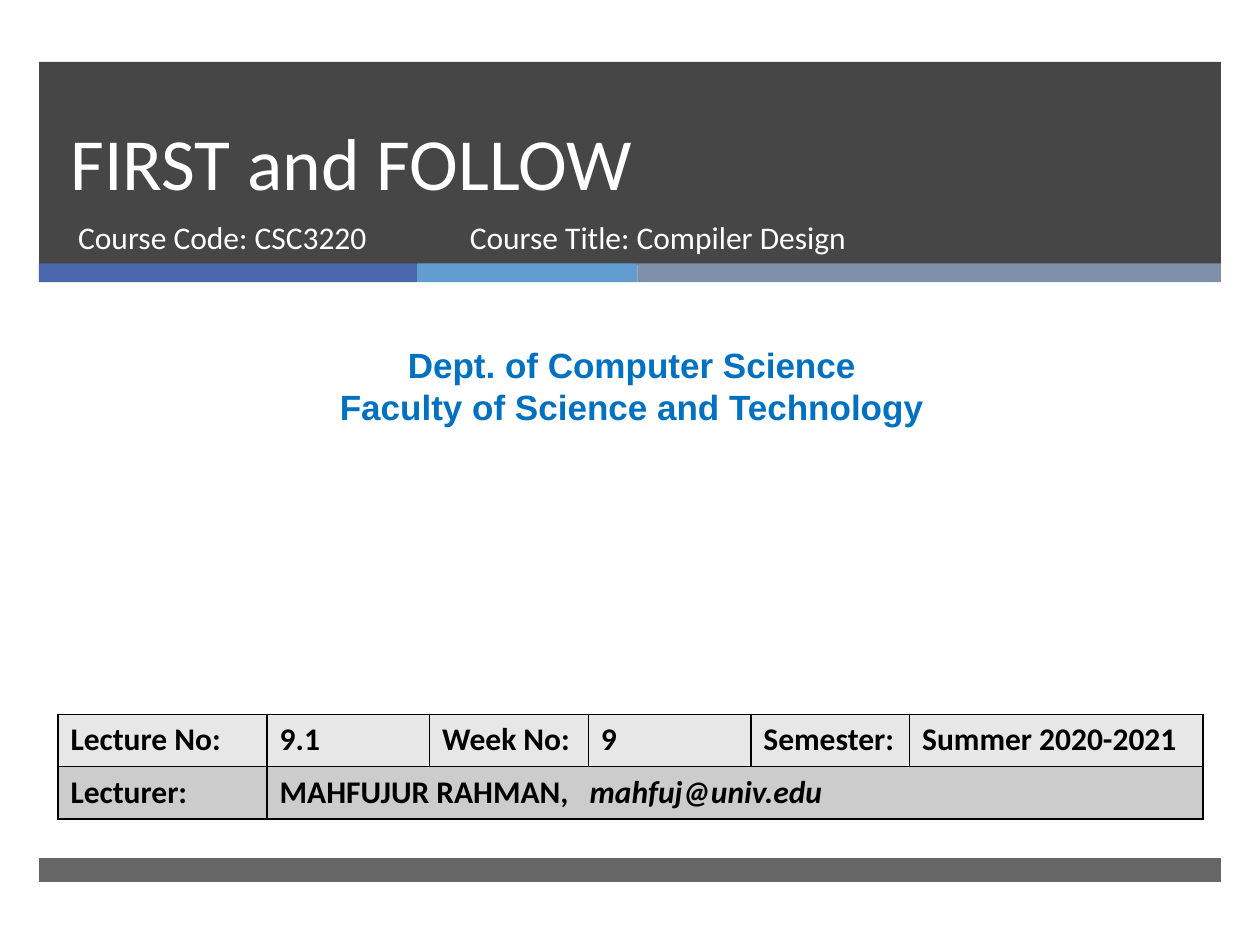
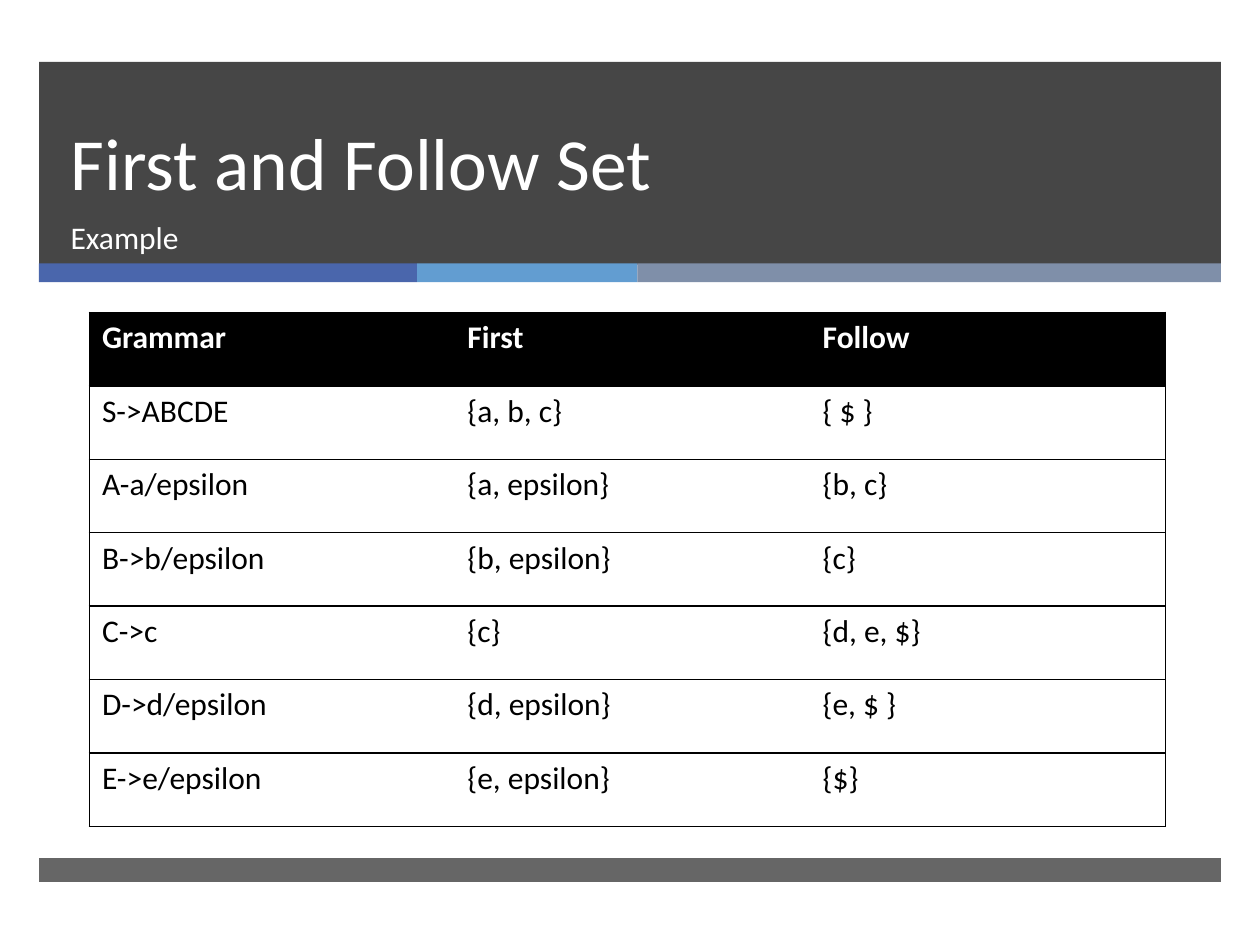
from dataclasses import dataclass

from lxml import etree
from pptx import Presentation
from pptx.dml.color import RGBColor
from pptx.enum.shapes import MSO_SHAPE
from pptx.enum.text import MSO_ANCHOR, MSO_AUTO_SIZE, PP_ALIGN
from pptx.oxml.ns import qn
from pptx.util import Inches, Pt

RECTANGLE = MSO_SHAPE.RECTANGLE
TOP, BOTTOM = MSO_ANCHOR.TOP, MSO_ANCHOR.BOTTOM
LEFT, CENTER = PP_ALIGN.LEFT, PP_ALIGN.CENTER
NO_AUTOFIT = MSO_AUTO_SIZE.NONE
NO_TABLE_STYLE = "{2D5ABB26-0587-4C30-8999-92F81FD0307C}"


@dataclass(frozen=True)
class Theme:
    """Colours, fonts and type sizes of the deck."""
    dark: str = "262626"
    white: str = "FFFFFF"
    black: str = "000000"
    department: str = "0070C0"
    light_row: str = "E7E7E7"
    dark_row: str = "CCCCCC"
    font: str = "Calibri"
    department_font: str = "Arial"
    title_size: float = 42
    title_leading: float = 46
    department_size: float = 20
    text_size: float = 18
    border: float = 1


THEME = Theme()


@dataclass(frozen=True)
class Box:
    """A place on the slide, in inches."""
    left: float
    top: float
    width: float
    height: float

    def lengths(self) -> tuple:
        """Return the four measures as lengths."""
        return tuple(Inches(n) for n in
                     (self.left, self.top, self.width, self.height))


@dataclass(frozen=True)
class Style:
    """The look of a run of text."""
    color: str
    size: float = THEME.text_size
    font: str = THEME.font
    bold: bool = False


@dataclass(frozen=True)
class Band:
    """A coloured bar shared by all slides."""
    box: Box
    color: str
    opacity: int = 100


BANDS = (
    Band(Box(0.31, 0.49, 9.38, 1.61), THEME.dark, 85),
    Band(Box(0.31, 2.09, 3, 0.15), "4A66AC"),
    Band(Box(3.31, 2.09, 1.75, 0.15), "629DD1"),
    Band(Box(5.06, 2.09, 4.63, 0.15), "7F8FA9"),
    Band(Box(0.31, 6.81, 9.38, 0.19), THEME.dark, 70),
)
TITLE_BOX = Box(0.46, 0.49, 8.54, 1.19)
TITLE = Style(THEME.white, THEME.title_size)
SUBTITLE = Style(THEME.white)
DEPARTMENT = Style(THEME.department, THEME.department_size,
                   THEME.department_font, True)
TABLE_HEAD = Style(THEME.white, bold=True)
TABLE_BODY = Style(THEME.black)
TABLE_LABEL = Style(THEME.black, bold=True)


def format_text(frame, style: Style, align=LEFT, anchor=TOP) -> None:
    """Apply one style to all paragraphs of a text frame."""
    frame.word_wrap = True
    frame.vertical_anchor = anchor
    for paragraph in frame.paragraphs:
        paragraph.alignment = align
        paragraph.space_before = Pt(0)
        for run in paragraph.runs:
            run.font.name = style.font
            run.font.size = Pt(style.size)
            run.font.bold = style.bold
            run.font.color.rgb = RGBColor.from_string(style.color)


def place(shape, box: Box) -> None:
    """Move a placeholder to its box."""
    shape.left, shape.top, shape.width, shape.height = box.lengths()


def add_bands(slide, layout) -> None:
    """Draw the shared bands and hand them over to the layout."""
    for band in BANDS:
        bar = slide.shapes.add_shape(RECTANGLE, *band.box.lengths())
        bar.shadow.inherit = False
        bar.line.fill.background()
        bar.fill.solid()
        bar.fill.fore_color.rgb = RGBColor.from_string(band.color)
        if band.opacity < 100:
            color = bar.element.find(".//" + qn("a:srgbClr"))
            etree.SubElement(color, qn("a:alpha"), val=str(band.opacity * 1000))
        layout.shapes.element.append(bar.element)


def set_heading(slide, title: str, subtitle: str, subtitle_box: Box) -> None:
    """Fill and format the title and subtitle placeholders."""
    heading, detail = slide.shapes.title, slide.placeholders[1]
    for shape, text, box, style, anchor in (
            (heading, title, TITLE_BOX, TITLE, BOTTOM),
            (detail, subtitle, subtitle_box, SUBTITLE, TOP)):
        place(shape, box)
        shape.text_frame.text = text
        shape.text_frame.auto_size = NO_AUTOFIT
        format_text(shape.text_frame, style, anchor=anchor)
    heading.text_frame.paragraphs[0].line_spacing = Pt(THEME.title_leading)


def add_text(slide, text: str, box: Box, style: Style, align=LEFT) -> None:
    """Add a text box."""
    frame = slide.shapes.add_textbox(*box.lengths()).text_frame
    frame.text = text
    format_text(frame, style, align)


def add_table(slide, box: Box, widths: tuple, rows: tuple):
    """Add an unstyled table with equal rows and the given texts."""
    frame = slide.shapes.add_table(len(rows), len(widths), *box.lengths())
    table = frame.table
    table._tbl.tblPr.find(qn("a:tableStyleId")).text = NO_TABLE_STYLE
    for column, width in zip(table.columns, widths):
        column.width = Inches(width)
    for r, texts in enumerate(rows):
        for c, text in enumerate(texts):
            table.cell(r, c).text = text
    return table


def format_cell(cell, fill: str, style: Style, sides: str) -> None:
    """Set the fill, the text style and the borders on the sides (of LRTB)."""
    cell.fill.solid()
    cell.fill.fore_color.rgb = RGBColor.from_string(fill)
    format_text(cell.text_frame, style)
    properties = cell._tc.get_or_add_tcPr()
    for position, side in enumerate(sides):
        line = etree.Element(qn("a:ln" + side), w=str(Pt(THEME.border)))
        paint = etree.SubElement(line, qn("a:solidFill"))
        etree.SubElement(paint, qn("a:srgbClr"), val=THEME.black)
        properties.insert(position, line)


def add_lecture_table(slide) -> None:
    """Add the table with lecture, week, semester and lecturer."""
    table = add_table(
        slide, Box(0.46, 5.67, 9.09, 0.83),
        (1.66, 1.29, 1.26, 1.29, 1.26, 2.33),
        (("Lecture No:", "9.1", "Week No:", "9", "Semester:",
          "Summer 2020-2021"),
         ("Lecturer:", "MAHFUJUR RAHMAN,\t")))
    lecturer = table.cell(1, 1)
    lecturer.merge(table.cell(1, 5))
    paragraph = lecturer.text_frame.paragraphs[0]
    address = paragraph.add_run()
    address.text = "mahfuj@univ.edu"
    address.font.italic = True
    for r, fill in enumerate((THEME.light_row, THEME.dark_row)):
        for cell in table.rows[r].cells:
            format_cell(cell, fill, TABLE_LABEL, "LRTB")
    stops = etree.SubElement(paragraph._p.get_or_add_pPr(), qn("a:tabLst"))
    etree.SubElement(stops, qn("a:tab"), pos=str(Inches(2.46)), algn="l")


def add_grammar_table(slide) -> None:
    """Add the table of FIRST and FOLLOW sets."""
    rows = (
        ("Grammar", "First", "Follow"),
        ("S->ABCDE", "{a, b, c}", "{ $ }"),
        ("A-a/epsilon", "{a, epsilon}", "{b, c}"),
        ("B->b/epsilon", "{b, epsilon}", "{c}"),
        ("C->c", "{c}", "{d, e, $}"),
        ("D->d/epsilon", "{d, epsilon}", "{e, $ }"),
        ("E->e/epsilon", "{e, epsilon}", "{$}"),
    )
    table = add_table(slide, Box(0.71, 2.48, 8.54, 4.08),
                      (2.9, 2.82, 2.82), rows)
    for r in range(len(rows)):
        fill, style = ((THEME.white, TABLE_BODY) if r
                       else (THEME.black, TABLE_HEAD))
        for cell, sides in zip(table.rows[r].cells, ("LTB", "TB", "RTB")):
            format_cell(cell, fill, style, sides)


def main() -> None:
    """Build the two slides and save them."""
    deck = Presentation()
    deck.slide_width, deck.slide_height = Inches(10), Inches(7.5)
    layout = deck.slide_layouts[0]

    opening = deck.slides.add_slide(layout)
    add_bands(opening, layout)
    set_heading(opening, "FIRST and FOLLOW", "Course Code: CSC3220",
                Box(0.52, 1.68, 3.05, 0.53))
    add_text(opening,
             "Dept. of Computer Science\nFaculty of Science and Technology",
             Box(0.08, 2.68, 9.87, 0.77), DEPARTMENT, CENTER)
    add_text(opening, "Course Title: Compiler Design",
             Box(3.63, 1.68, 4.55, 0.53), SUBTITLE)
    add_lecture_table(opening)

    example = deck.slides.add_slide(layout)
    set_heading(example, "First and Follow Set", "Example",
                Box(0.46, 1.68, 7.75, 0.53))
    add_grammar_table(example)

    deck.save("out.pptx")


main()
